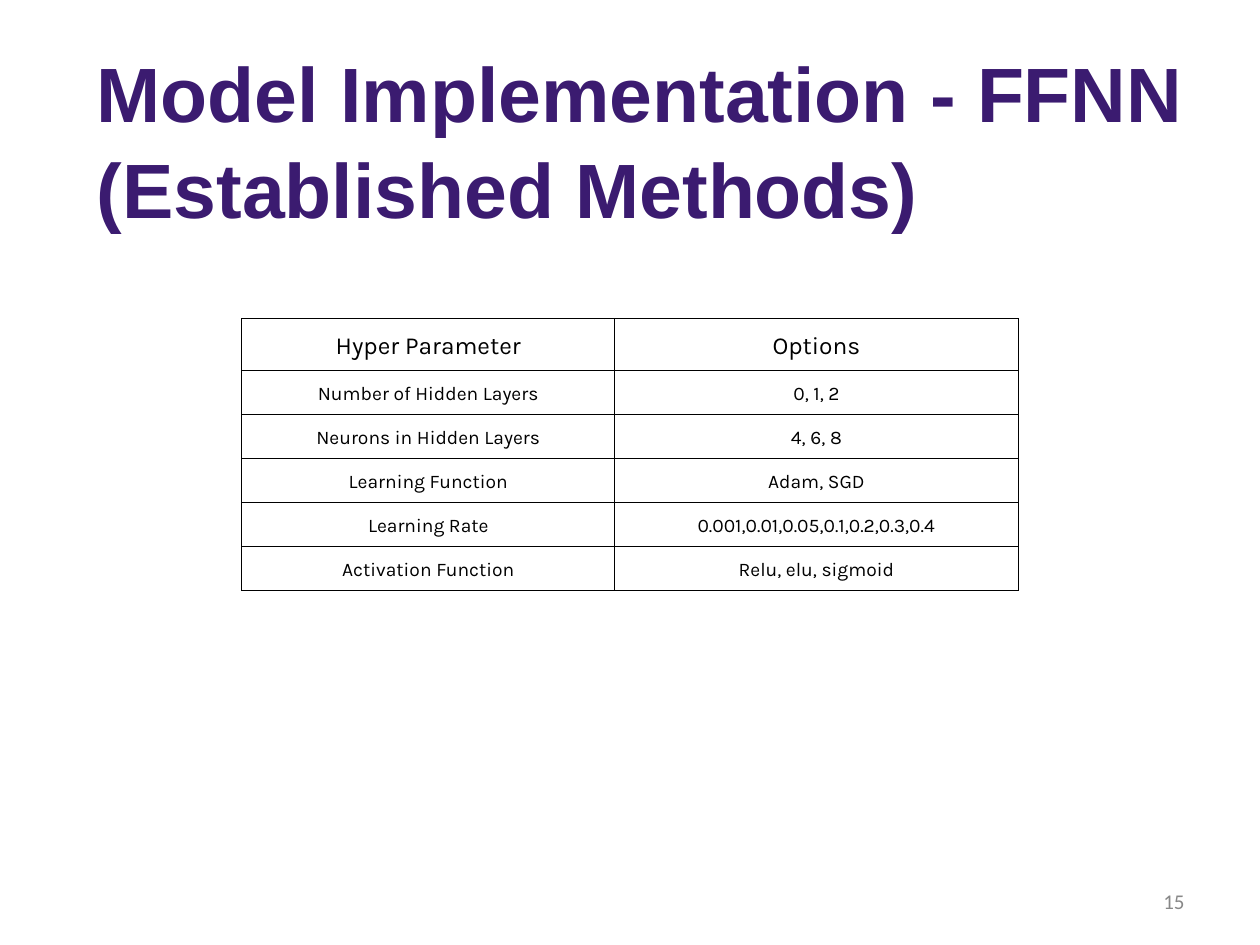
from lxml.etree import SubElement
from pptx import Presentation
from pptx.dml.color import RGBColor
from pptx.enum.text import MSO_ANCHOR, PP_ALIGN
from pptx.oxml.ns import qn
from pptx.util import Inches, Pt

ROWS = [
    ("Hyper Parameter", "Options"),
    ("Number of Hidden Layers", "0, 1, 2"),
    ("Neurons in Hidden Layers", "4, 6, 8"),
    ("Learning Function", "Adam, SGD"),
    ("Learning Rate", "0.001,0.01,0.05,0.1,0.2,0.3,0.4"),
    ("Activation Function", "Relu, elu, sigmoid"),
]
COLS = (2.96, 3.2)
ROW_H = 0.34
PAD = 0.07
TITLE = {"name": "Arial", "size": Pt(44), "bold": True}
HEAD = {"name": "Karla", "size": Pt(14), "bold": False}
BODY = {**HEAD, "size": Pt(11)}
FOOT = {"name": "Calibri", "size": Pt(12)}


def paint(color, code):
    color.rgb = RGBColor.from_string(code)


def write(frame, text, style, code, align, gap=1.0):
    para = frame.paragraphs[0]
    para.alignment = align
    para.line_spacing = gap
    run = para.add_run()
    run.text = text
    for key, value in style.items():
        setattr(run.font, key, value)
    paint(run.font.color, code)


def add_text(slide, box, *args):
    frame = slide.shapes.add_textbox(*map(Inches, box)).text_frame
    frame.word_wrap = True
    frame.vertical_anchor = MSO_ANCHOR.MIDDLE
    write(frame, *args)


def add_edges(cell, code, width):
    """Draw all four borders, placed before the fill as the schema asks."""
    props = cell._tc.get_or_add_tcPr()
    for spot, tag in enumerate(("a:lnL", "a:lnR", "a:lnT", "a:lnB")):
        line = SubElement(props, qn(tag), w=str(Pt(width)))
        fill = SubElement(line, qn("a:solidFill"))
        SubElement(fill, qn("a:srgbClr"), val=code)
        props.insert(spot, line)


def fill_cell(cell, text, style):
    for side in ("left", "right", "top", "bottom"):
        setattr(cell, f"margin_{side}", Inches(PAD))
    cell.vertical_anchor = MSO_ANCHOR.MIDDLE
    cell.fill.solid()
    paint(cell.fill.fore_color, "FFFFFF")
    add_edges(cell, "000000", 0.75)
    write(cell.text_frame, text, style, "000000", PP_ALIGN.CENTER, 1.15)


def add_grid(slide, left, top):
    size = (sum(COLS), ROW_H * len(ROWS))
    table = slide.shapes.add_table(
        len(ROWS), len(COLS), *map(Inches, (left, top, *size))
    ).table
    table.first_row = table.horz_banding = False
    for col, width in zip(table.columns, COLS):
        col.width = Inches(width)
    for r, texts in enumerate(ROWS):
        table.rows[r].height = Inches(ROW_H)
        for c, text in enumerate(texts):
            fill_cell(table.cell(r, c), text, BODY if r else HEAD)


def main():
    deck = Presentation()
    deck.slide_width, deck.slide_height = Inches(10), Inches(7.5)
    slide = deck.slides.add_slide(deck.slide_layouts[6])
    add_text(slide, (7.17, 6.95, 2.33, 0.4), "15", FOOT, "888888",
             PP_ALIGN.RIGHT)
    add_text(slide, (0.67, 0.47, 9, 1.25),
             "Model Implementation - FFNN (Established Methods)",
             TITLE, "3B1B70", PP_ALIGN.LEFT, 1.04)
    add_grid(slide, 1.92, 2.53)
    deck.save("out.pptx")


if __name__ == "__main__":
    main()
